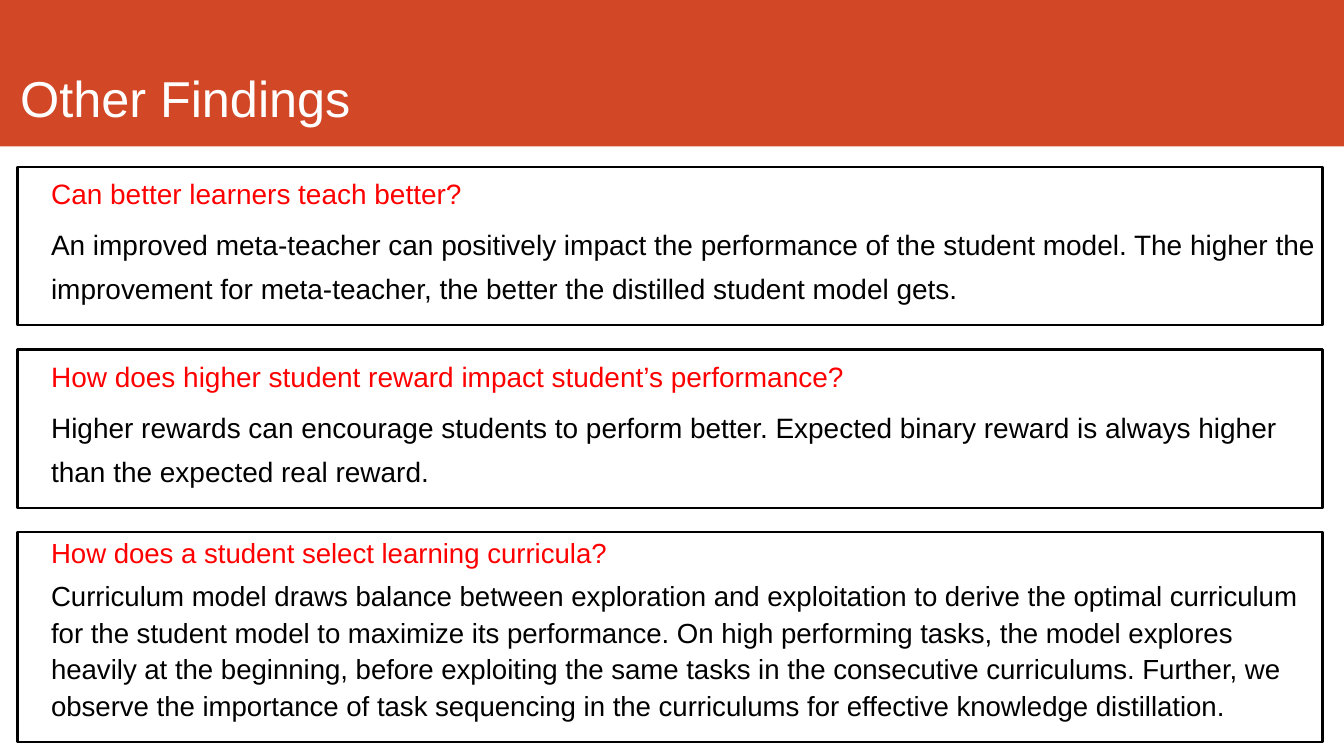
from pptx import Presentation
from pptx import util as u
from pptx.dml.color import RGBColor
from pptx.enum import shapes, text

COLORS = {"banner": "D24726", "title": "FFFFFF", "question": "FF0000",
          "answer": "000000", "border": "000000"}
TITLE = "Other Findings"
FINDINGS = [
    {"question": "Can better learners teach better?",
     "answer": "An improved meta-teacher can positively impact the performance of the "
               "student model. The higher the improvement for meta-teacher, the better "
               "the distilled student model gets.",
     "height": 1.18, "size": 15, "spacing": 1.3},
    {"question": "How does higher student reward impact student’s performance?",
     "answer": "Higher rewards can encourage students to perform better. Expected binary "
               "reward is always higher than the expected real reward.",
     "height": 1.18, "size": 15, "spacing": 1.3},
    {"question": "How does a student select learning curricula?",
     "answer": "Curriculum model draws balance between exploration and exploitation to "
               "derive the optimal curriculum for the student model to maximize its "
               "performance. On high performing tasks, the model explores heavily at the "
               "beginning, before exploiting the same tasks in the consecutive "
               "curriculums. Further, we observe the importance of task sequencing in the "
               "curriculums for effective knowledge distillation.",
     "height": 1.56, "size": 14.8, "spacing": 1.1},
]
WIDTH = 10
HEIGHT = WIDTH * 9 / 16
BANNER_HEIGHT = 1.09
LEFT, TOP, BOX_WIDTH, GAP = 0.13, 1.24, 9.71, 0.18
INDENTS = {"question": (0.5, -0.25), "answer": (0.25, 0)}


def color(name):
    return RGBColor.from_string(COLORS[name])


def apply(target, formats):
    for key, value in formats.items():
        setattr(target, key, value)


def add_panel(slide, *place):
    panel = slide.shapes.add_shape(shapes.MSO_SHAPE.RECTANGLE, *map(u.Inches, place))
    panel.shadow.inherit = False
    return panel


def set_frame(frame, anchor, side, edge):
    apply(frame, {"word_wrap": True, "vertical_anchor": anchor,
                  "margin_left": u.Inches(side), "margin_right": u.Inches(side),
                  "margin_top": u.Inches(edge), "margin_bottom": u.Inches(edge)})


def write(paragraph, words, size, shade):
    run = paragraph.add_run()
    run.text = words
    paragraph.alignment = text.PP_ALIGN.LEFT
    apply(run.font, {"name": "Arial", "size": u.Pt(size)})
    run.font.color.rgb = color(shade)


def add_header(slide):
    banner = add_panel(slide, 0, 0, WIDTH, BANNER_HEIGHT)
    banner.fill.solid()
    banner.fill.fore_color.rgb = color("banner")
    banner.line.fill.background()
    title = slide.shapes.add_textbox(*map(u.Inches, (0.08, 0, 9.23, 0.99)))
    set_frame(title.text_frame, text.MSO_ANCHOR.BOTTOM, 0.07, 0.04)
    write(title.text_frame.paragraphs[0], TITLE, 27, "title")


def add_finding(slide, finding, top):
    box = add_panel(slide, LEFT, top, BOX_WIDTH, finding["height"])
    box.fill.background()
    box.line.color.rgb = color("border")
    box.line.width = u.Pt(1.25)
    frame = box.text_frame
    set_frame(frame, text.MSO_ANCHOR.TOP, 0, 0)
    answer = frame.add_paragraph()
    answer.space_before = u.Pt(4)
    for part, paragraph in zip(INDENTS, frame.paragraphs):
        paragraph.line_spacing = finding["spacing"]
        for key, inches in zip(("marL", "indent"), INDENTS[part]):
            paragraph._p.get_or_add_pPr().set(key, str(u.Inches(inches)))
        write(paragraph, finding[part], finding["size"], part)


def main():
    deck = Presentation()
    apply(deck, {"slide_width": u.Inches(WIDTH), "slide_height": u.Inches(HEIGHT)})
    slide = deck.slides.add_slide(deck.slide_layouts[6])
    add_header(slide)
    top = TOP
    for finding in FINDINGS:
        add_finding(slide, finding, top)
        top += finding["height"] + GAP
    deck.save("out.pptx")


if __name__ == "__main__":
    main()
